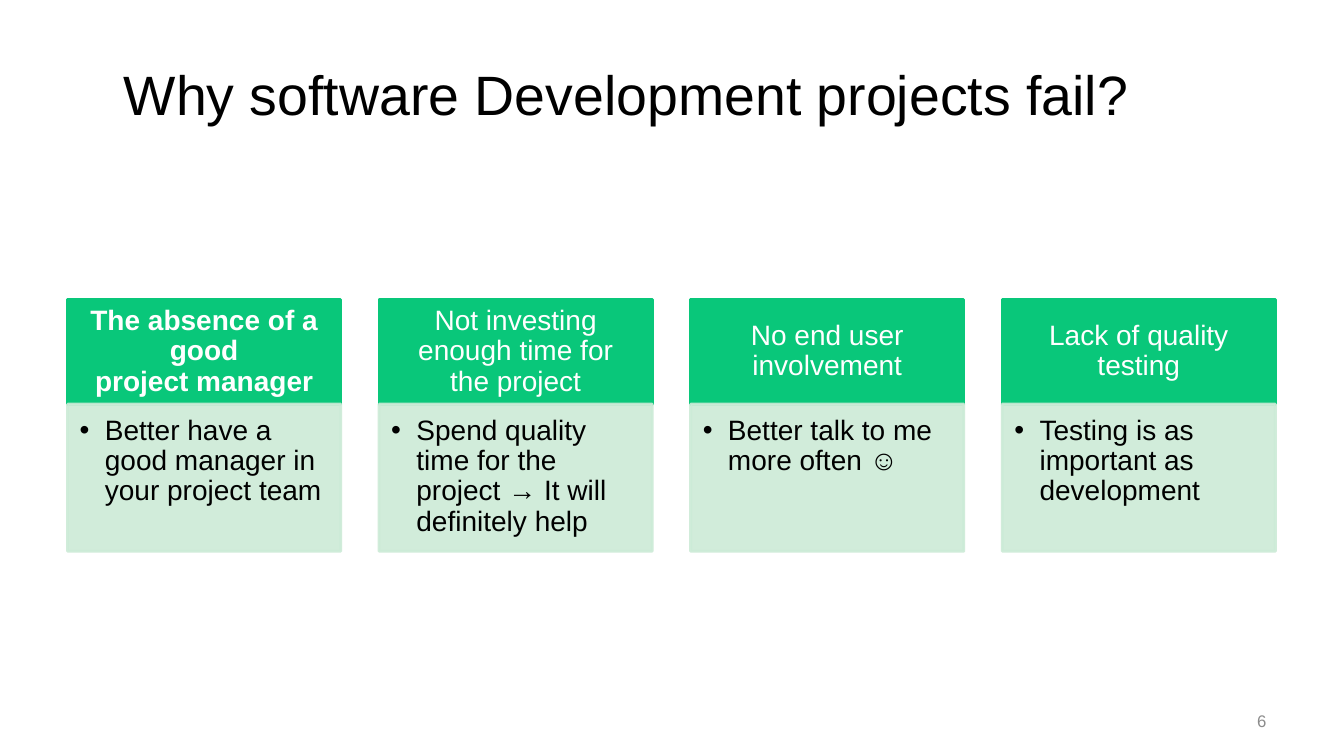
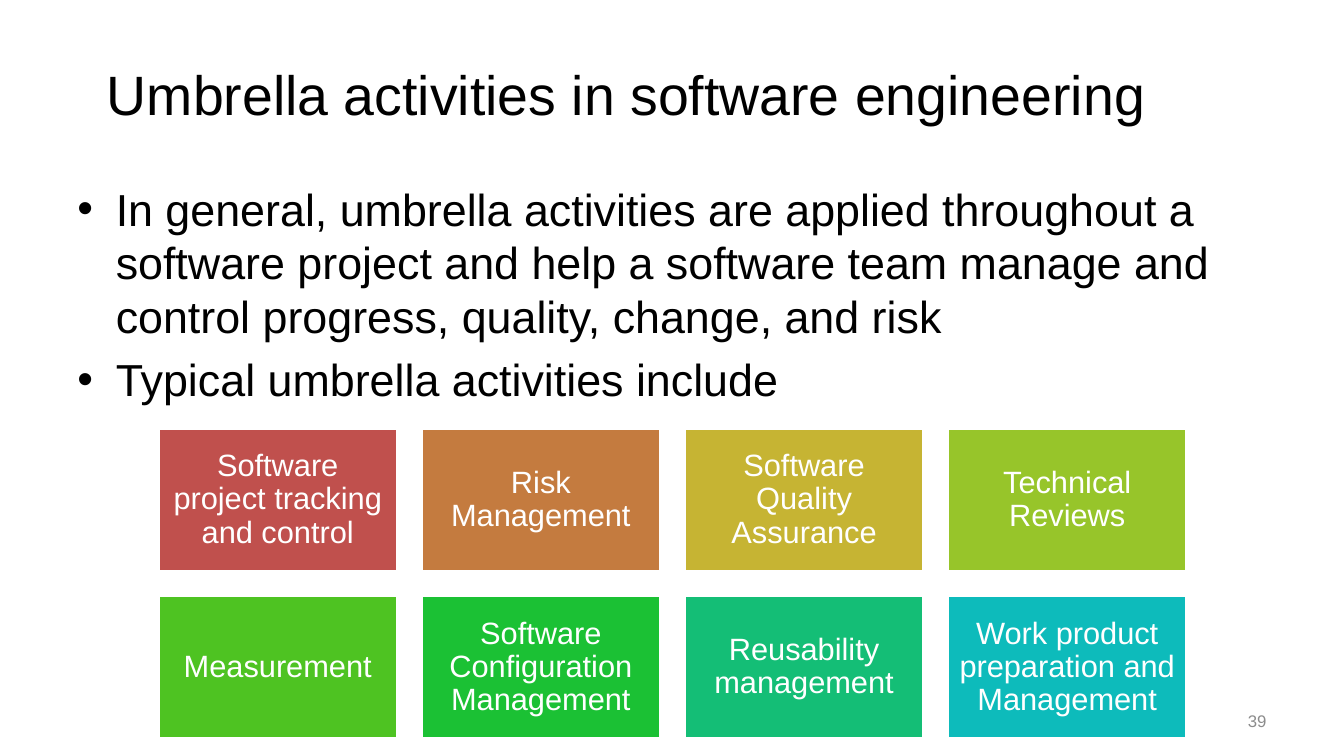
import pptx
import pptx.dml.color
import pptx.enum.shapes
import pptx.enum.text
import pptx.oxml
import pptx.oxml.ns
import pptx.util
from lxml import etree

Inches = pptx.util.Inches
Pt = pptx.util.Pt
RGB = pptx.dml.color.RGBColor.from_string
ALIGN = pptx.enum.text.PP_ALIGN
ANCHOR = pptx.enum.text.MSO_ANCHOR
RECT = pptx.enum.shapes.MSO_SHAPE.RECTANGLE
qn = pptx.oxml.ns.qn

HUES = {
    "black": "000000",
    "white": "FFFFFF",
    "gray": "8C8C8C",
    "green": "09C77A",
    "mint": "CCEBD7",
}
FONT = "Arial"
PAD = (0.1, 0.05, 0.1, 0.05)


def write(shape, lines, size, hue="black", align=ALIGN.LEFT, anchor=ANCHOR.MIDDLE,
          pad=PAD, bold=False, indent=0, lead=1.0, gap=0):
    frame = shape.text_frame
    frame.word_wrap = True
    frame.vertical_anchor = anchor
    (frame.margin_left, frame.margin_top,
     frame.margin_right, frame.margin_bottom) = [Inches(side) for side in pad]
    for i, line in enumerate(lines):
        para = frame.add_paragraph() if i else frame.paragraphs[0]
        para.alignment = align
        para.line_spacing = lead
        if i:
            para.space_before = Pt(gap)
        if indent:
            props = para._p.get_or_add_pPr()
            props.set("marL", str(Inches(indent)))
            props.set("indent", str(-Inches(indent)))
            etree.SubElement(props, qn("a:buFont")).set("typeface", FONT)
            etree.SubElement(props, qn("a:buChar")).set("char", "•")
        run = para.add_run()
        run.text = line
        run.font.name = FONT
        run.font.size = Pt(size)
        run.font.bold = bold
        run.font.color.rgb = RGB(HUES[hue])


def block(slide, place, fill, edge, alpha=100):
    shape = slide.shapes.add_shape(RECT, *[Inches(n) for n in place])
    shape.shadow.inherit = False
    shape.fill.solid()
    shape.fill.fore_color.rgb = RGB(fill)
    shape.line.color.rgb = RGB(edge)
    shape.line.width = Pt(2)
    if alpha < 100:
        for tint in shape._element.spPr.iter(qn("a:srgbClr")):
            etree.SubElement(tint, qn("a:alpha")).set("val", str(alpha * 1000))
    return shape


deck = pptx.Presentation()
deck.slide_width = Inches(13.33)
deck.slide_height = Inches(7.5)

slides = []
for title, number in [
    ("Why software Development projects fail?", "6"),
    ("Umbrella activities in software engineering", "39"),
]:
    slide = deck.slides.add_slide(deck.slide_layouts[6])
    head = slide.shapes.add_textbox(Inches(0.67), Inches(0.3), Inches(11.08), Inches(1.25))
    write(head, [title], 39.6, align=ALIGN.CENTER)
    foot = slide.shapes.add_textbox(Inches(9.55), Inches(6.95), Inches(3.11), Inches(0.4))
    write(foot, [number], 12, "gray", ALIGN.RIGHT)
    slides.append(slide)
first, second = slides

causes = [
    ("The absence of a good project\u00a0manager".replace("\u00a0", chr(160)),
     "Better have a good manager in your project team"),
    ("Not investing enough time for the project",
     "Spend quality time for the project → It will definitely help"),
    ("No end user involvement", "Better talk to me more often ☺"),
    ("Lack of quality testing", "Testing is as important as development"),
]
for col, (cause, advice) in enumerate(causes):
    left = 0.67 + col * 3.09
    top = block(first, (left, 2.97, 2.71, 1.04), HUES["green"], HUES["green"])
    write(top, [cause], 20, "white", ALIGN.CENTER, pad=(0.16, 0.09, 0.16, 0.09),
          bold=col == 0, lead=0.9)
    body = block(first, (left, 4.01, 2.71, 1.46), HUES["mint"], HUES["mint"], 90)
    write(body, [advice], 20, anchor=ANCHOR.TOP, pad=(0.12, 0.12, 0.16, 0.17),
          indent=0.25, lead=0.9)

intro = second.shapes.add_textbox(Inches(0.67), Inches(1.75), Inches(12), Inches(4.95))
write(intro, [
    "In general, umbrella activities are applied throughout a software project "
    "and help a software team manage and control progress, quality, change, and risk",
    "Typical umbrella activities include",
], 32, anchor=ANCHOR.TOP, indent=0.38, gap=6.4)

tasks = {
    "Software project tracking and control": "C0504D",
    "Risk Management": "C47B3F",
    "Software Quality Assurance": "C6B433",
    "Technical Reviews": "97C52A",
    "Measurement": "4EC322",
    "Software Configuration Management": "1BC134",
    "Reusability management": "14BE76",
    "Work product preparation and Management": "0DBBBB",
}
for i, (task, fill) in enumerate(tasks.items()):
    row, col = divmod(i, 4)
    place = (1.57 + col * 2.61, 4.25 + row * 1.66, 2.37, 1.42)
    tile = block(second, place, fill, HUES["white"])
    write(tile, [task], 22, "white", ALIGN.CENTER, pad=(0.09,) * 4, lead=0.9)

deck.save("out.pptx")
